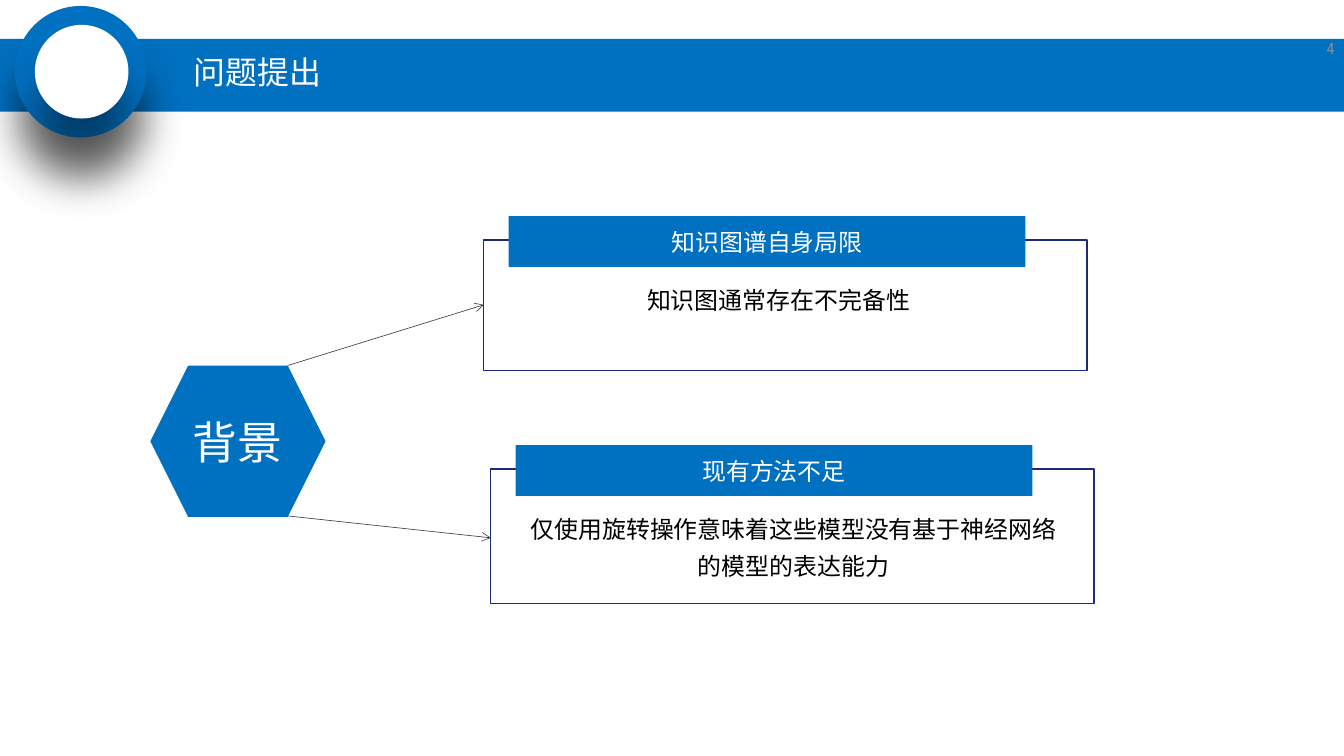
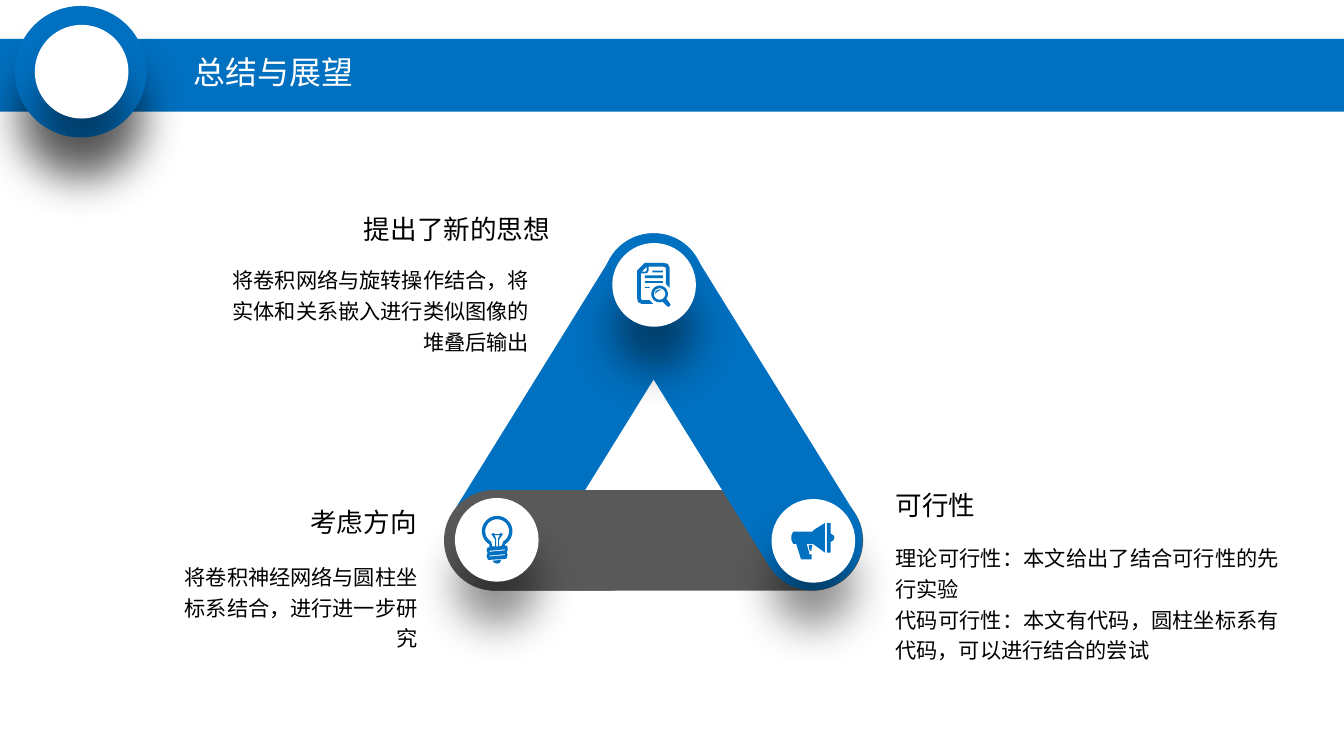
from math import cos, radians, sin

from lxml import etree
from pptx import Presentation
from pptx.dml.color import RGBColor
from pptx.enum.shapes import MSO_CONNECTOR, MSO_SHAPE
from pptx.enum.text import MSO_ANCHOR, PP_ALIGN
from pptx.oxml.ns import qn
from pptx.util import Emu, Pt

PX = 9525
ICON_UNIT = 9144
WIDTH, HEIGHT = 1350, 759
FONT = "Roboto Condensed"
BLUE, NAVY, GREY, SLATE = "0070C0", "1A2B78", "595959", "414455"
WHITE, BLACK, PALE = "FFFFFF", "000000", "8C8C8C"
RECT, OVAL = MSO_SHAPE.RECTANGLE, MSO_SHAPE.OVAL
HEXAGON, PILL = MSO_SHAPE.HEXAGON, MSO_SHAPE.ROUNDED_RECTANGLE
STRAIGHT = MSO_CONNECTOR.STRAIGHT
LEFT, CENTER, RIGHT, JUSTIFY = PP_ALIGN.LEFT, PP_ALIGN.CENTER, PP_ALIGN.RIGHT, PP_ALIGN.JUSTIFY
TOP, MIDDLE = MSO_ANCHOR.TOP, MSO_ANCHOR.MIDDLE


def px(*lengths):
    """Turn pixel lengths into EMU."""
    return [Emu(length * PX) for length in lengths]


def color(value):
    """Turn a hex string into a colour."""
    return RGBColor.from_string(value)


def write(shape, lines, size, ink, align=CENTER, anchor=MIDDLE, spacing=None, before=None):
    """Fill a shape's text frame, one paragraph per line."""
    frame = shape.text_frame
    frame.word_wrap = True
    frame.vertical_anchor = anchor
    for index, line in enumerate(lines):
        para = frame.add_paragraph() if index else frame.paragraphs[0]
        para.alignment = align
        para.line_spacing = spacing
        para.space_before = before
        span = para.add_run()
        span.text = line
        span.font.size = Pt(size)
        span.font.color.rgb = color(ink)
        span.font.name = FONT
        etree.SubElement(span.font._element, qn("a:ea"), typeface=FONT)


def text(page, box, lines, size, ink=BLACK, **style):
    """Add a wrapping text box."""
    write(page.shapes.add_textbox(*px(*box)), lines, size, ink, **style)


def paint(shape, fill=None, line=None):
    """Set a shape's fill and outline and drop its shadow."""
    shape.shadow.inherit = False
    if fill:
        shape.fill.solid()
        shape.fill.fore_color.rgb = color(fill)
    else:
        shape.fill.background()
    if line:
        shape.line.color.rgb = color(line)
        shape.line.width = Pt(1)
    else:
        shape.line.fill.background()


def block(page, kind, box, fill=None, line=None):
    """Add a painted preset shape."""
    shape = page.shapes.add_shape(kind, *px(*box))
    paint(shape, fill, line)
    return shape


def disc(page, left, top, size, fill):
    """Add a circle with a soft shadow below it."""
    shape = block(page, OVAL, (left, top, size, size), fill)
    effects = shape._element.spPr.find(qn("a:effectLst"))
    shadow = etree.SubElement(effects, qn("a:outerShdw"), blurRad=str(Pt(33)),
                              dist=str(Pt(33)), dir="5400000", algn="t", rotWithShape="0")
    tint = etree.SubElement(shadow, qn("a:srgbClr"), val=BLACK)
    etree.SubElement(tint, qn("a:alpha"), val="43000")


def bar(page, box, fill, angle=0):
    """Add a round-ended bar turned by an angle."""
    shape = block(page, PILL, box, fill)
    shape.adjustments[0] = 0.5
    shape.rotation = angle


def arrow(page, *ends):
    """Add a thin line with an open arrowhead at its end."""
    line = page.shapes.add_connector(STRAIGHT, *px(*ends))
    line.line.color.rgb = color(SLATE)
    line.line.width = Pt(0.5)
    etree.SubElement(line.line._get_or_add_ln(), qn("a:tailEnd"), type="arrow")
    etree.SubElement(line._element.spPr, qn("a:effectLst"))


def arc(x, y, radius, start=0, end=360):
    """List points along an arc, clockwise in degrees."""
    return [(x + radius * cos(radians(angle)), y + radius * sin(radians(angle)))
            for angle in range(start, end + 1, 10)]


def bars(*boxes):
    """List the corners of each left, top, right, bottom box."""
    return [[(l, t), (r, t), (r, b), (l, b)] for l, t, r, b in boxes]


def icon(page, left, top, contours):
    """Draw closed contours as one blue outline with holes."""
    placed = [[(round(left * PX + x * ICON_UNIT), round(top * PX + y * ICON_UNIT))
               for x, y in contour] for contour in contours]
    builder = page.shapes.build_freeform(*placed[0][0], scale=1.0)
    for index, contour in enumerate(placed):
        if index:
            builder.move_to(*contour[0])
        builder.add_line_segments(contour[1:], close=True)
    paint(builder.convert_to_shape(), BLUE)


def document_contours():
    """Give a folded page with text lines and a magnifier."""
    sheet = [(10, 0), (28, 0), (32, 1), (34, 5), (34, 26), (30, 22), (30, 5), (28, 4),
             (12, 4), (12, 8), (11, 10), (9, 11), (4, 11), (4, 37), (5, 39), (13, 39),
             (17, 43), (5, 43), (1, 41), (0, 37), (0, 8), (8, 0)]
    fold = [(10, 4), (5, 9), (9, 9), (10, 8)]
    lines = bars((8, 25, 13, 26), (8, 19, 27, 21), (8, 13, 27, 16), (16, 8, 27, 10))
    handle = [(27, 41), (31, 45), (33, 46), (35, 44), (34, 42), (31, 38)]
    gleam = [(19, 33), (21, 30), (26, 28), (22, 28), (19, 30)]
    return [sheet, fold, *lines, arc(23.5, 32.5, 8.7), arc(23.5, 32.5, 6), handle, gleam]


def bulb_contours():
    """Give a light bulb with a filament and a screw base."""
    glass = arc(16, 16, 16, 120, 420) + [
        (24, 31), (26, 31), (27, 33), (27, 36), (26, 38), (27, 41), (26, 44), (25, 45),
        (7, 46), (6, 45), (5, 42), (6, 39), (5, 36), (6, 33), (8, 33)]
    hollow = arc(16, 16, 12.5, 120, 420) + [
        (21, 31), (18, 32), (18, 25), (22, 19), (20, 18), (18, 19), (14, 19),
        (12, 18), (10, 19), (14, 25), (14, 32), (11, 32)]
    filament = [(13, 20), (19, 20), (17, 24), (17, 32), (15, 32), (15, 24)]
    threads = [[(24, y), (8, y + 1.5), (8, y + 2.5), (24, y + 1)] for y in (35, 40)]
    tip = [(20, 46), (11, 47), (13, 49), (16, 50), (19, 49)]
    return [glass, hollow, filament, *threads, tip]


def megaphone_contours():
    """Give a megaphone with a grip and a rim."""
    horn = [(2, 9), (22, 9), (24, 7), (35, 0), (35, 31), (24, 23), (22, 22), (16, 22),
            (19, 33), (21, 33), (21, 38), (10, 38), (5, 22), (2, 22), (0, 18), (0, 13)]
    rim = [(37, 0), (41, 0), (41, 11), (44, 13), (45, 15), (44, 18), (41, 20),
           (41, 31), (37, 31)]
    grip = [(22, 23), (18, 23), (19, 29), (21, 29), (21, 27)]
    return [horn, rim, grip]


def titled_page(deck, title):
    """Add a page with the blue band, the badge and its title."""
    page = deck.slides.add_slide(deck.slide_layouts[6])
    block(page, RECT, (0, 39, WIDTH, 73), BLUE)
    disc(page, 15, 6, 132, BLUE)
    disc(page, 35, 25, 94, WHITE)
    text(page, (185, 48, 333, 53), [title], 24, WHITE, align=LEFT,
         spacing=0.9, before=Pt(10))
    return page


def panel(page, left, top, height, label, body, body_width):
    """Add an outlined panel with a label over its top edge."""
    block(page, RECT, (left, top, 606, height), line=NAVY)
    tab = block(page, RECT, (left + 25, top - 24, 519, 51), BLUE)
    write(tab, [label], 18, WHITE)
    text(page, (left + 25, top + 32, body_width, height - 50), [body], 18,
         anchor=TOP, spacing=1.3)


def note(page, heading_box, heading, body_box, body, align, body_align):
    """Add a heading with its explanation."""
    text(page, heading_box, [heading], 20, align=align, anchor=TOP, spacing=1.2)
    text(page, body_box, body, 16, align=body_align, anchor=TOP, spacing=1.2)


def background_page(deck):
    """Build the page on where the problem comes from."""
    page = titled_page(deck, "问题提出")
    panel(page, 486, 241, 131, "知识图谱自身局限", "知识图通常存在不完备性", 542)
    panel(page, 493, 471, 135, "现有方法不足",
          "仅使用旋转操作意味着这些模型没有基于神经网络的模型的表达能力", 558)
    write(block(page, HEXAGON, (151, 367, 176, 152), BLUE), ["背景"], 33.8, WHITE)
    arrow(page, 289, 367, 486, 306)
    arrow(page, 289, 518, 493, 540)
    text(page, (1284, 28, 66, 40), ["4"], 12, PALE, align=RIGHT)


def summary_page(deck):
    """Build the page with the triangle of conclusions."""
    page = titled_page(deck, "总结与展望")
    bar(page, (448, 492, 419, 101), GREY)
    bar(page, (534, 363, 404, 101), BLUE, 58.2)
    bar(page, (375, 363, 404, 101), BLUE, 301.8)
    bar(page, (446, 492, 216, 101), GREY)
    for left, top in ((615, 244), (457, 500), (775, 501)):
        disc(page, left, top, 84, WHITE)
    icon(page, 640, 264, document_contours())
    icon(page, 484, 518, bulb_contours())
    icon(page, 795, 525, megaphone_contours())
    note(page, (890, 480, 351, 46), "可行性", (890, 538, 405, 162),
         ["理论可行性：本文给出了结合可行性的先行实验",
          "代码可行性：本文有代码，圆柱坐标系有代码，可以进行结合的尝试"], LEFT, JUSTIFY)
    note(page, (335, 203, 227, 46), "提出了新的思想", (206, 259, 335, 100),
         ["将卷积网络与旋转操作结合，将实体和关系嵌入进行类似图像的堆叠后输出"], RIGHT, RIGHT)
    note(page, (206, 497, 222, 46), "考虑方向", (161, 557, 268, 100),
         ["将卷积神经网络与圆柱坐标系结合，进行进一步研究"], RIGHT, RIGHT)


def main():
    """Build and save the deck."""
    deck = Presentation()
    deck.slide_width, deck.slide_height = px(WIDTH, HEIGHT)
    background_page(deck)
    summary_page(deck)
    deck.save("out.pptx")


if __name__ == "__main__":
    main()
